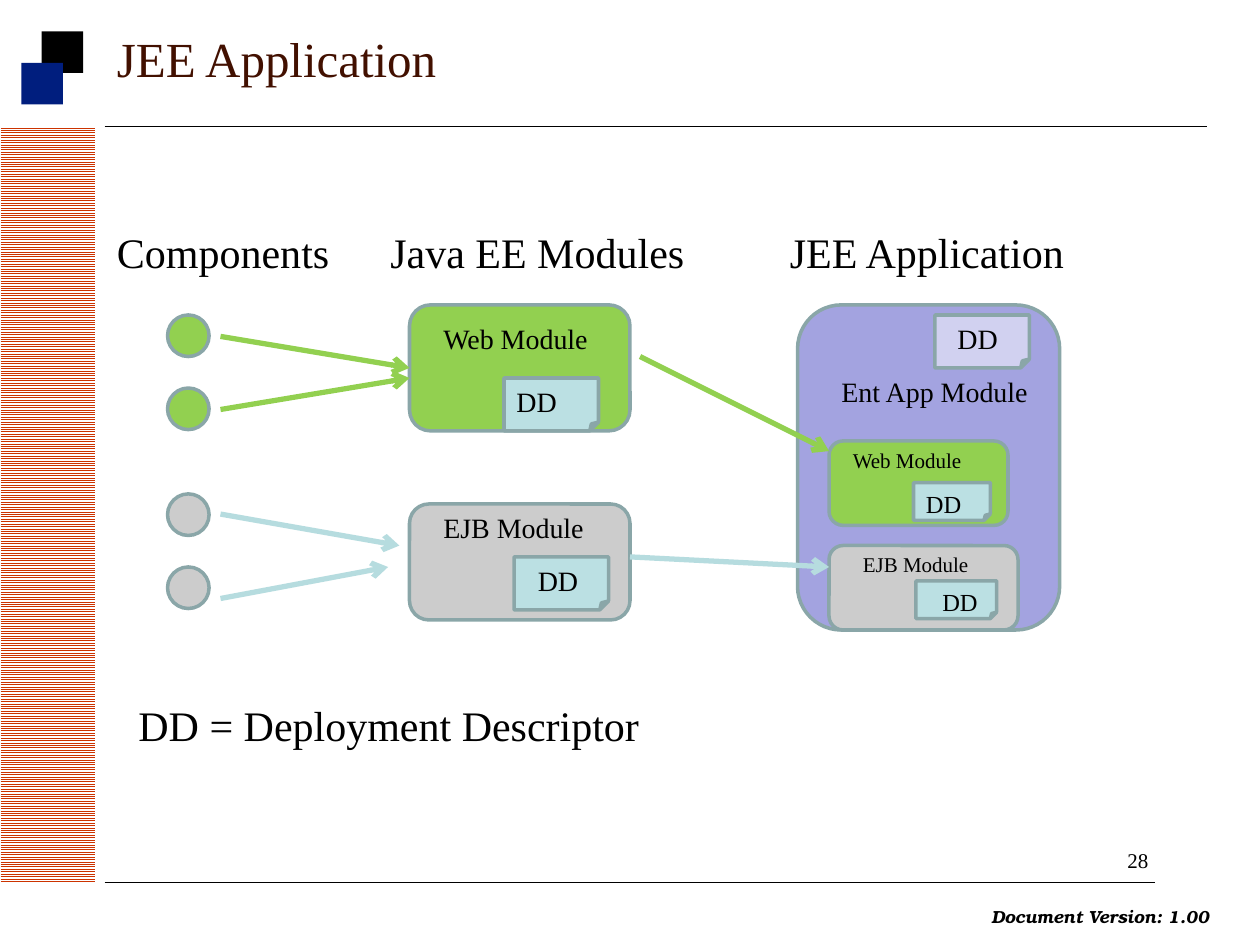
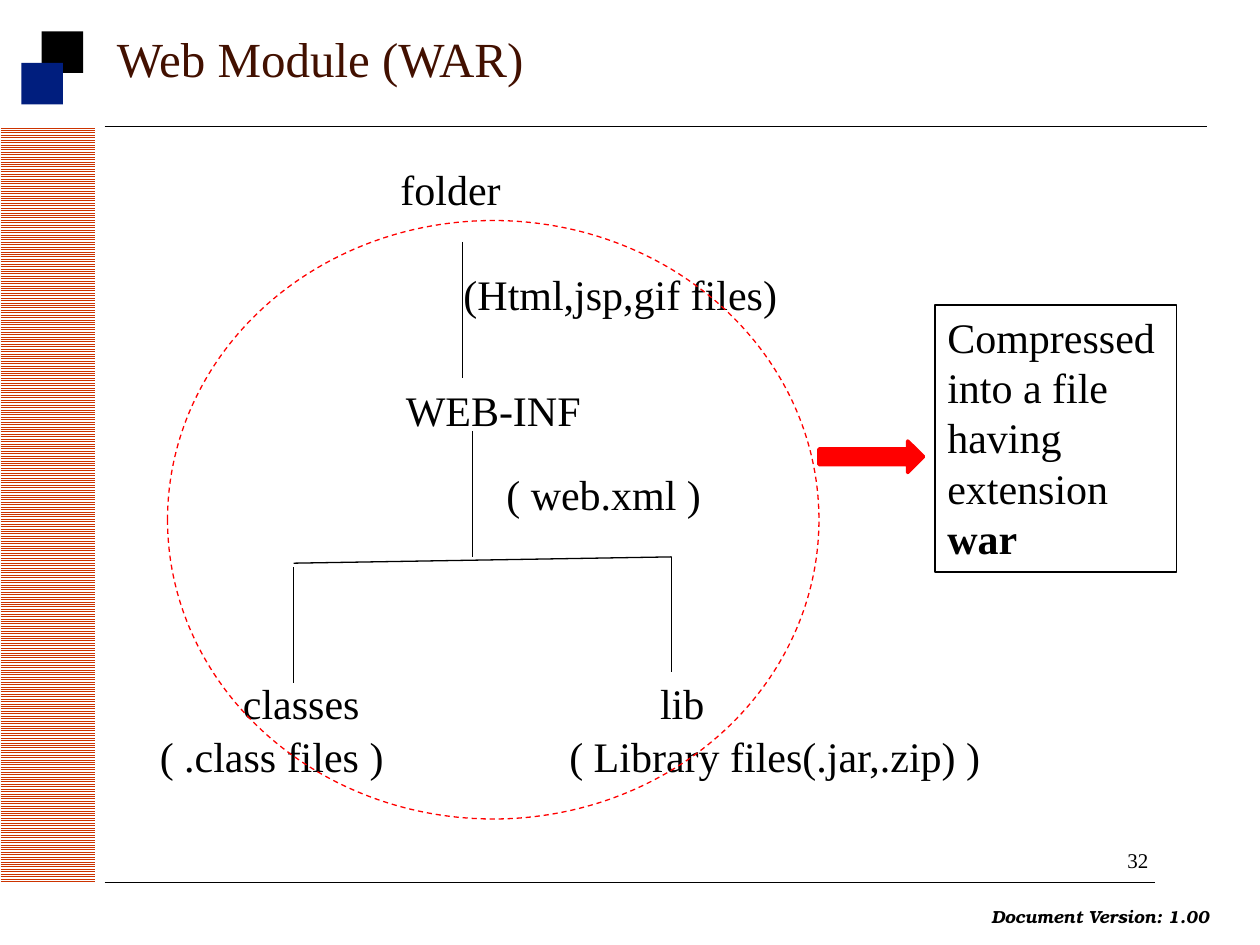
from lxml import etree
from pptx import Presentation, util as u
from pptx.dml.color import RGBColor
from pptx.enum import dml, shapes, text
from pptx.oxml import ns

COLORS = {
    "black": "000000", "white": "FFFFFF", "title": "421000", "navy": "001E7E",
    "stripe": "CC3300", "red": "FF0000", "outline": "8AA6A8",
    "web": "92D050", "ejb": "CCCCCC", "application": "A3A3E0",
    "descriptor": "BBE0E3", "application descriptor": "D1D1F0",
    "ejb arrow": "B6DCDF",
}
FONT = "Times New Roman"
FOOTER_FONT = "TeX Gyre Bonum"
SHAPE = shapes.MSO_SHAPE


def rgb(name):
    return RGBColor.from_string(COLORS[name])


def inches(values):
    return [u.Inches(value) for value in values]


def add_run(paragraph, words, size, color="black", font=FONT, bold=False, italic=False):
    run = paragraph.add_run()
    run.text = words
    run.font.size = u.Pt(size)
    run.font.name = font
    run.font.bold = bold
    run.font.italic = italic
    run.font.color.rgb = rgb(color)


def add_label(slide, box, words, size=24, wrap=True, centered=False,
              anchor=text.MSO_ANCHOR.TOP, **run_format):
    frame = slide.shapes.add_textbox(*inches(box)).text_frame
    frame.word_wrap = wrap
    frame.vertical_anchor = anchor
    paragraph = frame.paragraphs[0]
    if centered:
        paragraph.alignment = text.PP_ALIGN.CENTER
    add_run(paragraph, words, size, **run_format)


def add_figure(slide, kind, box, fill=None, line=None, width=2):
    shape = slide.shapes.add_shape(kind, *inches(box))
    shape.shadow.inherit = False
    if fill:
        shape.fill.solid()
        shape.fill.fore_color.rgb = rgb(fill)
    else:
        shape.fill.background()
    if line:
        shape.line.color.rgb = rgb(line)
        shape.line.width = u.Pt(width)
    else:
        shape.line.fill.background()
    return shape


def add_line(slide, start, end, color="black", width=0.75, arrow=False):
    connector = slide.shapes.add_connector(
        shapes.MSO_CONNECTOR.STRAIGHT, *inches(start + end))
    connector.line.color.rgb = rgb(color)
    connector.line.width = u.Pt(width)
    properties = connector.element.spPr
    if arrow:
        outline = properties.find(ns.qn("a:ln"))
        etree.SubElement(outline, ns.qn("a:tailEnd"), type="arrow")
    etree.SubElement(properties, ns.qn("a:effectLst"))


def add_striped_band(slide):
    """Vertical band at the left edge: a wide bar turned by 270 degrees."""
    band = add_figure(slide, SHAPE.RECTANGLE, (-2.62, 3.62, 6, 0.75))
    band.rotation = 270
    band.fill.patterned()
    band.fill.pattern = dml.MSO_PATTERN.LIGHT_HORIZONTAL
    band.fill.fore_color.rgb = rgb("stripe")
    band.fill.back_color.rgb = rgb("white")


def add_page(presentation, title, number):
    """Add a blank slide with the shared band, rules, title and footer."""
    slide = presentation.slides.add_slide(presentation.slide_layouts[6])
    add_striped_band(slide)
    add_line(slide, (0.83, 1), (9.58, 1), width=0.25)
    add_figure(slide, SHAPE.RECTANGLE, (0.33, 0.25, 0.33, 0.33), "black")
    add_figure(slide, SHAPE.RECTANGLE, (0.17, 0.5, 0.33, 0.33), "navy")
    add_label(slide, (7.77, 7.14, 1.94, 0.27), "Document Version: 1.00", 10,
              wrap=False, font=FOOTER_FONT, bold=True, italic=True)
    add_line(slide, (0.83, 7), (9.17, 7), width=0.25)
    add_label(slide, (8.85, 6.68, 0.4, 0.3), str(number), 12, wrap=False)
    add_label(slide, (0.83, 0, 9, 0.92), title, 28, color="title",
              anchor=text.MSO_ANCHOR.MIDDLE)
    return slide


def add_descriptor(slide, box, label_left, size, fill="descriptor"):
    add_figure(slide, SHAPE.FOLDED_CORNER, box, fill, "outline")
    add_label(slide, (label_left, box[1], 0.75, 0.37), "DD", size)


def add_module(slide, box, fill, name, name_box, size):
    add_figure(slide, SHAPE.ROUNDED_RECTANGLE, box, fill, "outline")
    add_label(slide, name_box, name, size)


def build_application_slide(presentation):
    slide = add_page(presentation, "JEE Application", 28)
    for heading, left, width in (("Components", 0.83, 1.92),
                                 ("Java EE Modules", 3, 2.92),
                                 ("JEE Application", 6.17, 2.67)):
        add_label(slide, (left, 1.75, width, 0.5), heading)

    for fill, first_top in (("web", 2.5), ("ejb", 3.92)):
        for top in (first_top, first_top + 0.58):
            add_figure(slide, SHAPE.OVAL, (1.33, top, 0.33, 0.33), fill, "outline")

    add_module(slide, (3.25, 2.42, 1.75, 1), "web",
               "Web Module", (3.42, 2.5, 1.42, 0.37), 16)
    add_descriptor(slide, (4, 3, 0.75, 0.42), 4, 16)
    add_module(slide, (3.25, 4, 1.75, 0.92), "ejb",
               "EJB Module", (3.42, 4, 1.42, 0.37), 16)
    add_descriptor(slide, (4.08, 4.42, 0.75, 0.42), 4.17, 16)

    add_module(slide, (6.33, 2.42, 2.08, 2.58), "application",
               "Ent App Module", (6.58, 2.92, 1.75, 0.37), 16)
    add_descriptor(slide, (7.42, 2.5, 0.75, 0.42), 7.5, 16, "application descriptor")
    add_module(slide, (6.58, 3.5, 1.42, 0.67), "web",
               "Web Module", (6.67, 3.5, 1.15, 0.3), 12)
    add_descriptor(slide, (7.25, 3.83, 0.61, 0.3), 7.25, 14)
    add_module(slide, (6.58, 4.33, 1.5, 0.67), "ejb",
               "EJB Module", (6.75, 4.33, 1.21, 0.3), 12)
    add_descriptor(slide, (7.27, 4.61, 0.64, 0.3), 7.38, 14)

    arrows = {
        "web": [((1.75, 2.67), (3.25, 2.92)), ((1.75, 3.25), (3.25, 3)),
                ((5.08, 2.83), (6.58, 3.58))],
        "ejb arrow": [((1.75, 4.08), (3.17, 4.33)), ((1.75, 4.75), (3.08, 4.5)),
                      ((5, 4.42), (6.58, 4.5))],
    }
    for color, routes in arrows.items():
        for start, end in routes:
            add_line(slide, start, end, color, 3, arrow=True)
    add_label(slide, (1, 5.5, 4.75, 0.5), "DD = Deployment Descriptor")


def add_archive_note(slide):
    note = add_figure(slide, SHAPE.RECTANGLE, (7.42, 2.42, 1.92, 2.12),
                      line="black", width=0.75)
    frame = note.text_frame
    frame.word_wrap = True
    frame.vertical_anchor = text.MSO_ANCHOR.TOP
    paragraph = frame.paragraphs[0]
    paragraph.alignment = text.PP_ALIGN.LEFT
    add_run(paragraph, "Compressed into a file having extension ", 24)
    add_run(paragraph, "war", 24, bold=True)


def build_web_module_slide(presentation):
    slide = add_page(presentation, "Web Module (WAR)", 32)
    branches = [((3.67, 1.92), (3.67, 3)), ((3.75, 3.42), (3.75, 4.42)),
                ((2.33, 4.47), (5.33, 4.42)), ((2.33, 4.5), (2.33, 5.42)),
                ((5.33, 4.42), (5.33, 5.33))]
    for start, end in branches:
        add_line(slide, start, end)

    entries = [("folder", 3.08, 1.25, 2, False),
               ("(Html,jsp,gif files)", 3.58, 2.08, 3.08, False),
               ("WEB-INF", 2.75, 3, 2.33, True),
               ("( web.xml )", 3.92, 3.67, 2.75, False),
               ("classes", 1.83, 5.33, 1.13, False),
               ("( .class files )", 1.17, 5.75, 3.33, False),
               ("lib", 4.75, 5.33, 1.33, True),
               ("( Library files(.jar,.zip) )", 4.42, 5.75, 3.83, False)]
    for words, left, top, width, centered in entries:
        add_label(slide, (left, top, width, 0.5), words, centered=centered)

    boundary = add_figure(slide, SHAPE.OVAL, (1.33, 1.75, 5.17, 4.75),
                          line="red", width=0.75)
    boundary.line.dash_style = dml.MSO_LINE.DASH
    add_archive_note(slide)
    add_figure(slide, SHAPE.RIGHT_ARROW, (6.5, 3.5, 0.83, 0.25), "red", "red")


def main():
    presentation = Presentation()
    presentation.slide_width, presentation.slide_height = inches((10, 7.5))
    build_application_slide(presentation)
    build_web_module_slide(presentation)
    presentation.save("out.pptx")


if __name__ == "__main__":
    main()
